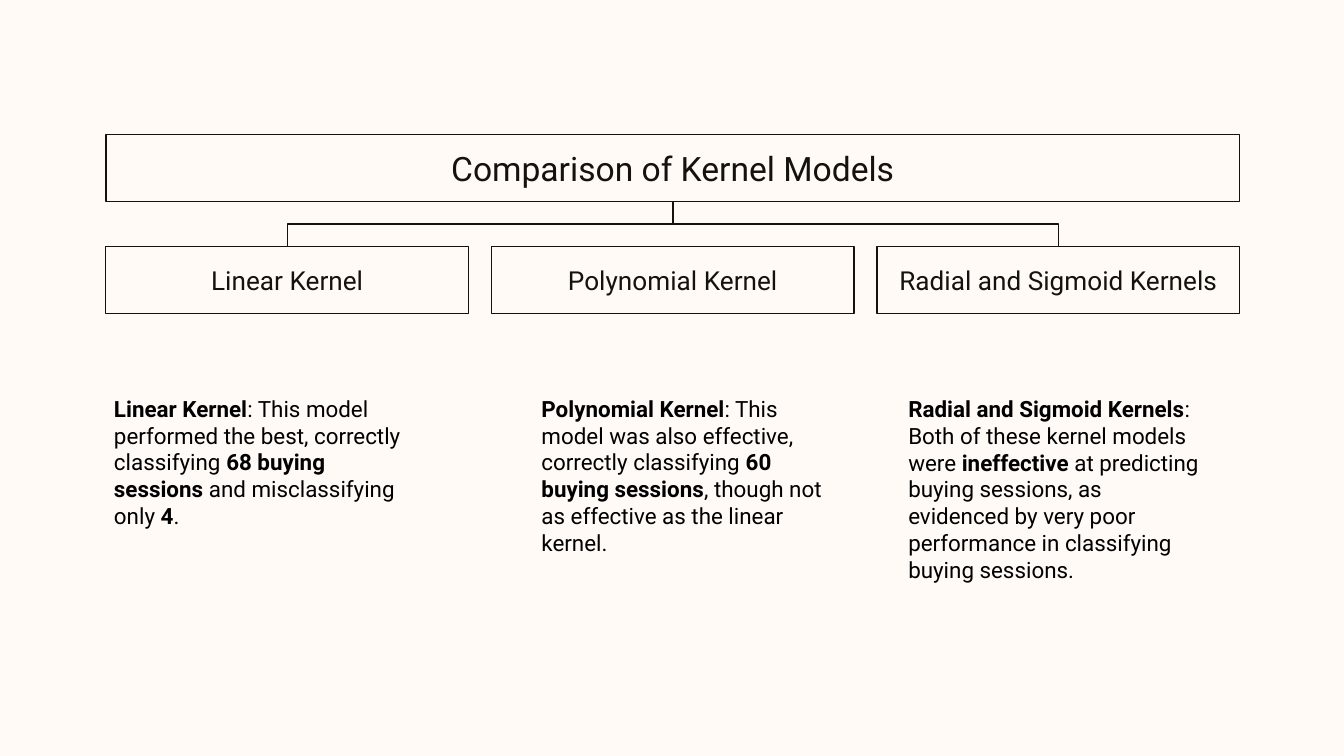
from pptx import Presentation
from pptx.dml.color import RGBColor
from pptx.enum.shapes import MSO_CONNECTOR as Link, MSO_SHAPE as Form
from pptx.enum.text import MSO_ANCHOR as Anchor, MSO_AUTO_SIZE as Fit, PP_ALIGN as Align
from pptx.oxml.ns import qn
from pptx.util import Pt

INK = "15110E"
LEFT, WIDE, TALL = 56.7, 607.5, 36
TOP, ROW = 72, 132
BOX = 194.4
STEP = (WIDE - BOX) / 2


def rgb(code):
    return RGBColor.from_string(code)


def label(shape, text, size):
    shape.fill.background()
    shape.line.color.rgb = rgb(INK)
    shape.line.width = Pt(0.75)
    frame = shape.text_frame
    frame.text = text
    frame.word_wrap = True
    frame.auto_size = Fit.NONE
    frame.vertical_anchor = Anchor.MIDDLE
    frame.margin_left = frame.margin_right = Pt(7.2)
    frame.margin_top = frame.margin_bottom = Pt(7.2)
    para = frame.paragraphs[0]
    para.alignment = Align.CENTER
    para.line_spacing = 1.0
    font = para.runs[0].font
    font.name, font.size = "Roboto", Pt(size)
    font.color.rgb = rgb(INK)


deck = Presentation()
deck.slide_width, deck.slide_height = Pt(720), Pt(405)
slide = deck.slides.add_slide(deck.slide_layouts[5])
slide.background.fill.solid()
slide.background.fill.fore_color.rgb = rgb("FFFAF6")
shapes = slide.shapes

title = shapes.title
title.left, title.top = Pt(LEFT), Pt(TOP)
title.width, title.height = Pt(WIDE), Pt(TALL)
label(title, "Comparison of Kernel Models", 18)

boxes = []
for col, name in enumerate(["Linear Kernel", "Polynomial Kernel", "Radial and Sigmoid Kernels"]):
    box = shapes.add_shape(Form.RECTANGLE, Pt(LEFT + col * STEP), Pt(ROW), Pt(BOX), Pt(TALL))
    box.shadow.inherit = False
    label(box, name, 14)
    boxes.append(box)

drop = ROW - TOP - TALL
mid = LEFT + WIDE / 2
for box, side, turn, flip in [(boxes[0], -1, 90, "0"), (boxes[2], 1, 270, "1")]:
    link = shapes.add_connector(Link.ELBOW, Pt(mid), Pt(TOP + TALL), Pt(mid + side * STEP), Pt(ROW))
    link.begin_connect(title, 2)
    link.end_connect(box, 0)
    link.left = Pt(mid + side * STEP / 2 - drop / 2)
    link.top = Pt(TOP + TALL + drop / 2 - STEP / 2)
    link.width, link.height = Pt(drop), Pt(STEP)
    prop = link._element.spPr
    frame = prop.find(qn("a:xfrm"))
    frame.set("rot", str(turn * 60000))
    frame.set("flipH", flip)
    link.line.color.rgb = rgb(INK)
    link.line.width = Pt(0.75)
    prop.append(prop.makeelement(qn("a:effectLst"), {}))

notes = [
    (54, 80, ["Linear Kernel", ": This model performed the best, correctly classifying ",
              "68 buying sessions", " and misclassifying only ", "4", "."]),
    (283, 94.5, ["Polynomial Kernel", ": This model was also effective, correctly classifying ",
                 "60 buying sessions", ", though not as effective as the linear kernel."]),
    (479.5, 109, ["Radial and Sigmoid Kernels", ": Both of these kernel models were ", "ineffective",
                  " at predicting buying sessions, as evidenced by very poor performance"
                  " in classifying buying sessions."]),
]
for left, tall, parts in notes:
    note = shapes.add_textbox(Pt(left), Pt(208), Pt(174), Pt(tall))
    note.text_frame.word_wrap = True
    note.text_frame.auto_size = Fit.SHAPE_TO_FIT_TEXT
    para = note.text_frame.paragraphs[0]
    for nth, part in enumerate(parts):
        run = para.add_run()
        run.text = part
        run.font.name, run.font.size = "Roboto", Pt(12)
        run.font.bold = nth % 2 == 0
        run.font.color.rgb = rgb("000000")

deck.save("out.pptx")
